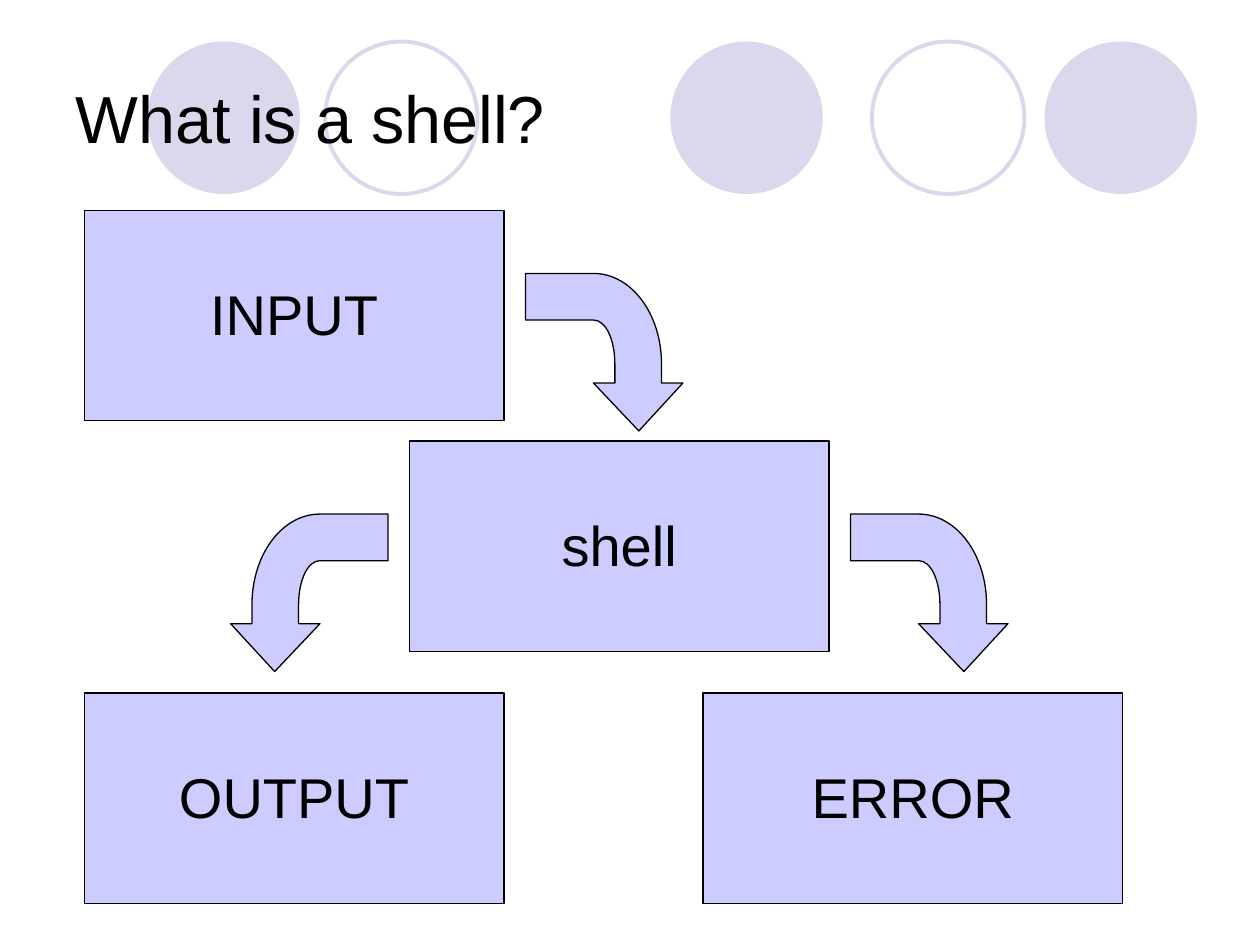
import lxml.etree
import pptx
import pptx.dml.color
import pptx.enum.shapes
import pptx.enum.text
import pptx.oxml.ns
import pptx.util

Inches = pptx.util.Inches
Pt = pptx.util.Pt
SHAPE = pptx.enum.shapes.MSO_SHAPE
ALIGN = pptx.enum.text.PP_ALIGN
ANCHOR = pptx.enum.text.MSO_ANCHOR
qn = pptx.oxml.ns.qn

LAVENDER = "CCCCFF"
PALE = "D9D8EC"
BLACK = "000000"

BOX_WIDTH, BOX_HEIGHT = 3.33, 1.67
ARROW_SIZE = 1.25


def color(hex_value):
    return pptx.dml.color.RGBColor.from_string(hex_value)


def paint(shape, fill=None, line=None, width=0.75):
    shape.shadow.inherit = False
    if fill:
        shape.fill.solid()
        shape.fill.fore_color.rgb = color(fill)
    else:
        shape.fill.background()
    if line:
        shape.line.color.rgb = color(line)
        shape.line.width = Pt(width)
    else:
        shape.line.fill.background()


def write(shape, text, size, align, anchor):
    frame = shape.text_frame
    frame.text = text
    frame.word_wrap = True
    frame.vertical_anchor = anchor
    paragraph = frame.paragraphs[0]
    paragraph.alignment = align
    font = paragraph.runs[0].font
    font.name = "Arial"
    font.size = Pt(size)
    font.color.rgb = color(BLACK)


def add_circles(slide, top, diameter):
    """Row of decorative discs and rings."""
    discs, rings = (5.32, 8.29, 1.17), (6.92, 2.58)
    for left in discs + rings:
        circle = slide.shapes.add_shape(
            SHAPE.OVAL, Inches(left), Inches(top), Inches(diameter), Inches(diameter))
        if left in discs:
            paint(circle, fill=PALE)
        else:
            paint(circle, line=PALE, width=2.25)


def place_title(slide, text, left, top, width, height):
    title = slide.shapes.title
    title.left, title.top = Inches(left), Inches(top)
    title.width, title.height = Inches(width), Inches(height)
    write(title, text, 38, ALIGN.LEFT, ANCHOR.MIDDLE)
    # The title belongs in front of the circles
    slide.shapes.element.append(title.element)


def add_stage(slide, name, left, top):
    """Box and its label, grouped."""
    stage = slide.shapes.add_group_shape()
    box = stage.shapes.add_shape(
        SHAPE.RECTANGLE, Inches(left), Inches(top), Inches(BOX_WIDTH), Inches(BOX_HEIGHT))
    paint(box, LAVENDER, BLACK)
    label = stage.shapes.add_textbox(
        Inches(left), Inches(top + 0.5), Inches(BOX_WIDTH), Inches(0.64))
    write(label, name, 32, ALIGN.CENTER, ANCHOR.TOP)


def curve_segments(freeform, starts):
    """Turn the three line segments from each start into one Bézier curve."""
    lines = list(freeform.element.iter(qn("a:lnTo")))
    for start in starts:
        curve = lxml.etree.Element(qn("a:cubicBezTo"))
        lines[start].addprevious(curve)
        for line in lines[start:start + 3]:
            curve.append(line[0])
            line.getparent().remove(line)


def add_bent_arrow(slide, left, top, mirrored=False):
    """Arrow that leaves sideways and bends down, in a square box."""
    outline = [
        (0, 0), (0.54, 0),
        (0.84, 0), (1.08, 0.32), (1.08, 0.72),
        (1.08, 0.87), (ARROW_SIZE, 0.87), (0.9, ARROW_SIZE), (0.54, 0.87),
        (0.71, 0.87), (0.71, 0.72),
        (0.71, 0.53), (0.64, 0.37), (0.54, 0.37),
        (0, 0.37),
    ]
    if mirrored:
        outline = [(ARROW_SIZE - x, y) for x, y in outline]
    points = [(Inches(left + x), Inches(top + y)) for x, y in outline]
    builder = slide.shapes.build_freeform(*points[0])
    builder.add_line_segments(points[1:], close=True)
    arrow = builder.convert_to_shape()
    curve_segments(arrow, (1, 10))
    paint(arrow, LAVENDER, BLACK)


def add_flow(slide, left, top):
    """Input feeding the shell, which feeds output and error."""
    middle_top, bottom_top = top + 1.83, top + 3.83
    shell_left = left + 2.58
    gap = 0.17
    add_stage(slide, "INPUT", left, top)
    add_stage(slide, "shell", shell_left, middle_top)
    add_stage(slide, "OUTPUT", left, bottom_top)
    add_stage(slide, "ERROR", left + 4.91, bottom_top)

    branch_top = bottom_top - gap - ARROW_SIZE
    add_bent_arrow(slide, left + BOX_WIDTH + gap, top + 0.5)
    add_bent_arrow(slide, shell_left + BOX_WIDTH + gap, branch_top)
    add_bent_arrow(slide, shell_left - gap - ARROW_SIZE, branch_top, mirrored=True)


def main():
    presentation = pptx.Presentation()
    presentation.slide_width = Inches(10)
    presentation.slide_height = Inches(7.5)
    slide = presentation.slides.add_slide(presentation.slide_layouts[5])
    add_circles(slide, 0.33, 1.21)
    place_title(slide, "What is a shell?", 0.5, 0.3, 9, 1.25)
    add_flow(slide, 0.67, 1.67)
    presentation.save("out.pptx")


if __name__ == "__main__":
    main()
